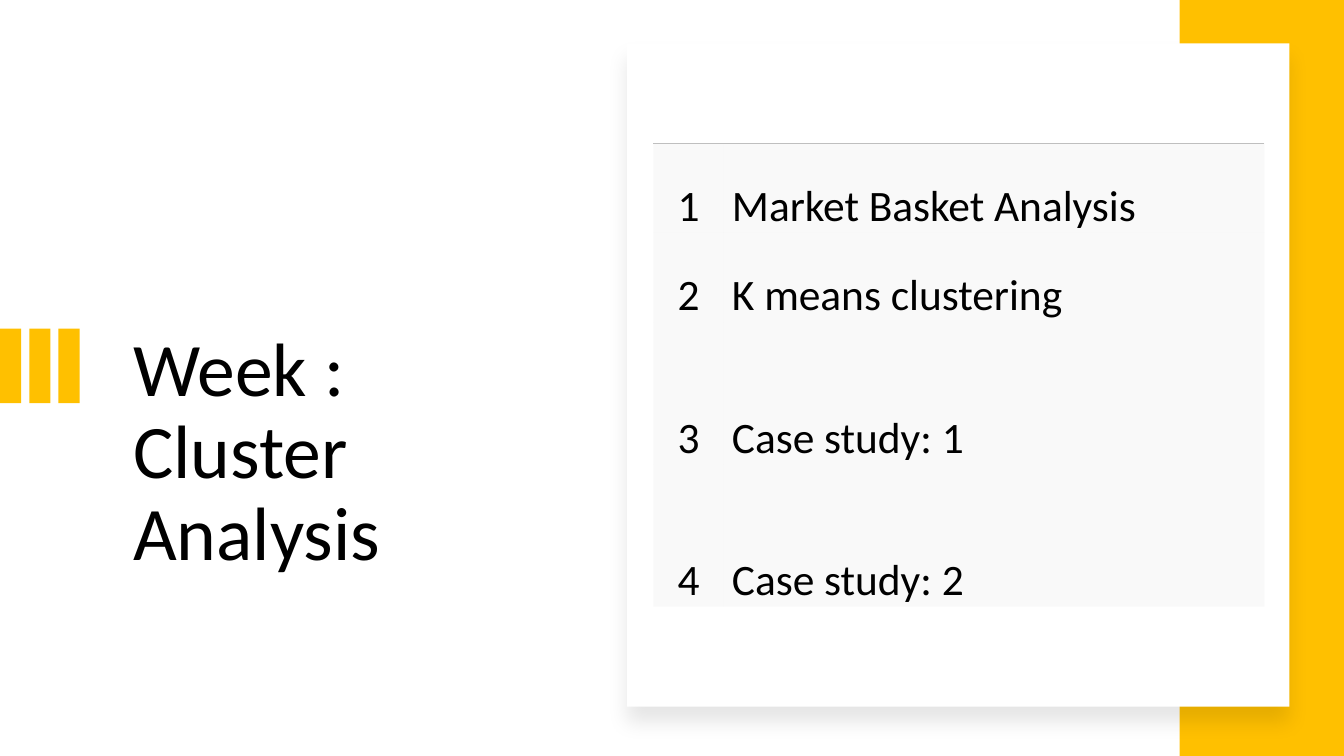
from lxml.etree import SubElement
from pptx import Presentation
from pptx.dml.color import RGBColor
from pptx.enum.shapes import MSO_SHAPE as Shape
from pptx.enum.text import MSO_ANCHOR as Anchor, PP_ALIGN as Align
from pptx.oxml import parse_xml
from pptx.oxml.ns import nsdecls, qn
from pptx.util import Inches, Pt

GOLD = "FFC000"
WHITE = "FFFFFF"
BLACK = "000000"
PANEL_GRAY = "F2F2F2"
RULE_GRAY = "BFBFBF"
NO_STYLE = "{2D5ABB26-0587-4C30-8999-92F81FD0307C}"
TOPICS = ["Market Basket Analysis", "K means clustering", "Case study: 1", "Case study: 2"]


def paint(color_format, color):
    color_format.rgb = RGBColor.from_string(color)


def write(frame, text, size=31, color=BLACK, font="Calibri", align=Align.LEFT, spacing=None):
    paragraph = frame.paragraphs[0]
    paragraph.alignment = align
    paragraph.line_spacing = spacing
    run = paragraph.add_run()
    run.text = text
    run.font.name = font
    run.font.size = Pt(size)
    paint(run.font.color, color)


class AgendaSlide:
    """Holds the style and the current slide, and draws each kind of element."""

    def __init__(self, presentation):
        self.slide = presentation.slides.add_slide(presentation.slide_layouts[5])

    def title(self, text, left, top, width, height):
        title = self.slide.shapes.title
        title.left, title.top = Inches(left), Inches(top)
        title.width, title.height = Inches(width), Inches(height)
        frame = title.text_frame
        frame.word_wrap = True
        frame.vertical_anchor = Anchor.TOP
        write(frame, text, size=54, spacing=0.9)

    def block(self, left, top, width, height, color):
        shape = self.slide.shapes.add_shape(
            Shape.RECTANGLE, Inches(left), Inches(top), Inches(width), Inches(height))
        shape.shadow.inherit = False
        shape.fill.solid()
        paint(shape.fill.fore_color, color)
        shape.line.fill.background()
        return shape

    def card(self, left, top, width, height):
        shape = self.block(left, top, width, height, WHITE)
        effects = shape._element.spPr.find(qn("a:effectLst"))
        effects.append(parse_xml(
            f'<a:outerShdw {nsdecls("a")} blurRad="{Pt(15)}" dist="{Pt(11)}" dir="5400000" '
            f'algn="t" rotWithShape="0"><a:srgbClr val="{BLACK}">'
            '<a:alpha val="10000"/></a:srgbClr></a:outerShdw>'))

    def table(self, topics, left, top, widths, heights):
        table = self.slide.shapes.add_table(
            len(topics), 2, Inches(left), Inches(top),
            Inches(sum(widths)), Inches(sum(heights))).table
        table.first_row = table.horz_banding = False
        table._tbl.tblPr.find(qn("a:tableStyleId")).text = NO_STYLE
        for column, width in zip(table.columns, widths):
            column.width = Inches(width)
        for row, height in zip(table.rows, heights):
            row.height = Inches(height)
        for index, topic in enumerate(topics):
            self.cell(table.cell(index, 0), str(index + 1), Align.CENTER)
            self.cell(table.cell(index, 1), topic, Align.LEFT)
        for cell in table.rows[0].cells:
            self.top_border(cell)

    def cell(self, cell, text, align):
        cell.vertical_anchor = Anchor.BOTTOM
        cell.margin_left = cell.margin_right = Inches(0.08)
        cell.margin_top, cell.margin_bottom = Inches(0.26), 0
        cell.fill.solid()
        paint(cell.fill.fore_color, PANEL_GRAY)
        color = next(cell._tc.tcPr.iter(qn("a:srgbClr")))
        SubElement(color, qn("a:alpha")).set("val", "45000")
        write(cell.text_frame, text, align=align)

    def top_border(self, cell):
        cell._tc.tcPr.insert(0, parse_xml(
            f'<a:lnT {nsdecls("a")} w="{Pt(1)}"><a:solidFill>'
            f'<a:srgbClr val="{RULE_GRAY}"/></a:solidFill></a:lnT>'))


def main():
    presentation = Presentation()
    presentation.slide_width = Inches(13.33)
    presentation.slide_height = Inches(7.5)
    agenda = AgendaSlide(presentation)
    agenda.title("Week : Cluster Analysis", 1.22, 3.24, 4.41, 2.61)
    for index in range(3):
        agenda.block(index * 0.29, 3.26, 0.21, 0.74, GOLD)
    agenda.block(11.7, 0, 1.63, 7.5, GOLD)
    agenda.card(6.22, 0.43, 6.57, 6.58)
    agenda.table(TOPICS, 6.48, 1.42, [0.7, 5.36], [0.89, 0.89, 1.41, 1.41])
    presentation.save("out.pptx")


if __name__ == "__main__":
    main()
